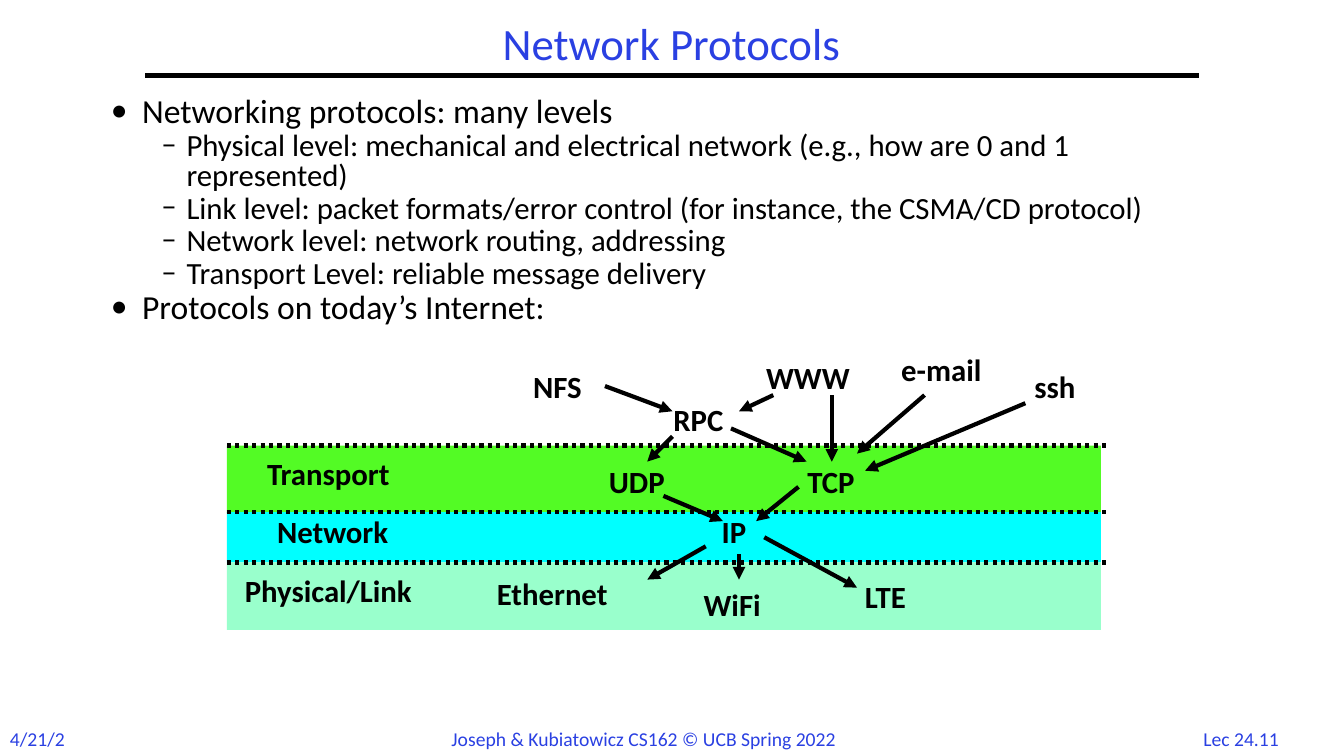
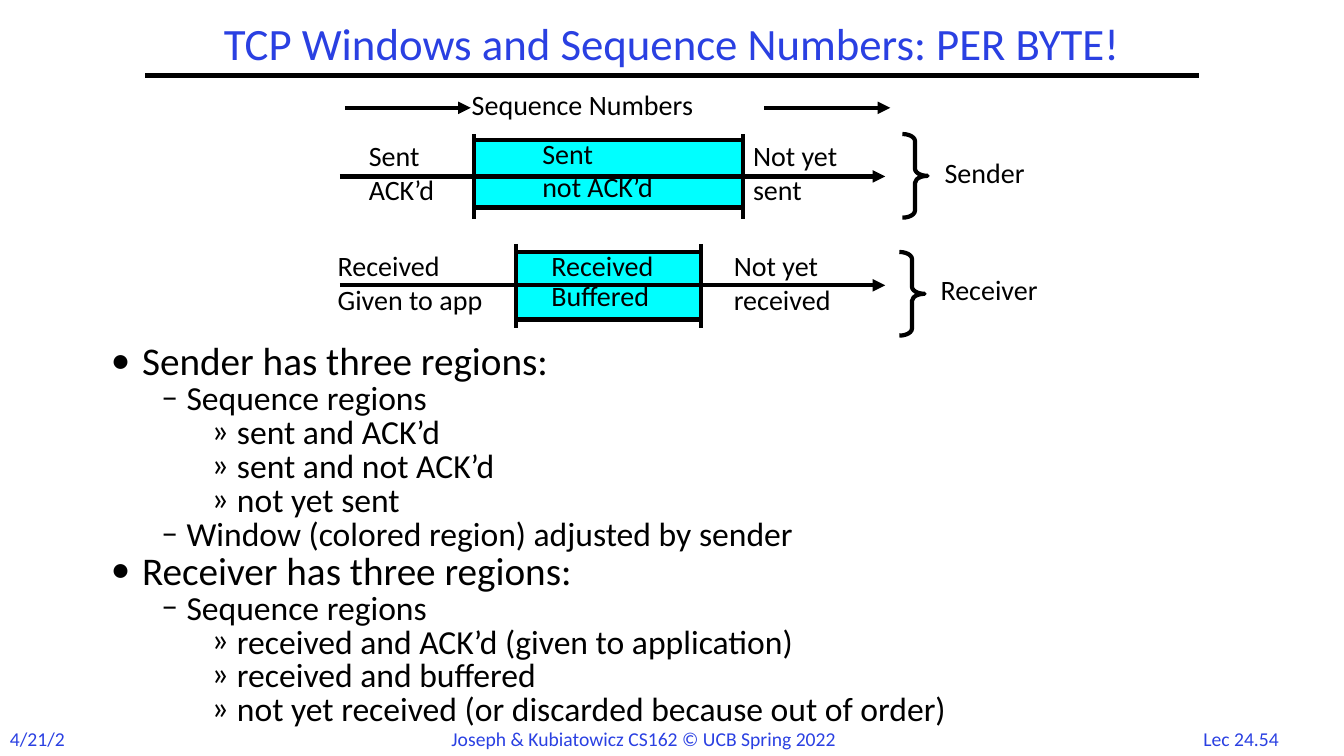
import dataclasses

import lxml.etree
import pptx
import pptx.dml.color
import pptx.enum.dml
import pptx.enum.shapes
import pptx.enum.text
import pptx.oxml.ns
import pptx.util

SHAPE = pptx.enum.shapes.MSO_SHAPE
ALIGN = pptx.enum.text.PP_ALIGN
FIT = pptx.enum.text.MSO_AUTO_SIZE
ANCHOR = pptx.enum.text.MSO_ANCHOR
DOTS = pptx.enum.dml.MSO_LINE.ROUND_DOT


@dataclasses.dataclass(frozen=True)
class Theme:
    font: str = "Calibri"
    ink: str = "000000"
    blue: str = "2A40E2"
    green: str = "53FB25"
    cyan: str = "00FFFF"
    mint: str = "99FFCC"
    title: int = 32
    foot: int = 14
    label: int = 22
    note: int = 20
    line: int = 3
    bullets: tuple = (("•", 0.31, 0.31), ("–", 0.75, 0.25), ("»", 1.25, 0.25))


THEME = Theme()
COLS, ROWS = 160, 90


def cell(count):
    return pptx.util.Inches(round(count / 12, 2))


def color(code):
    return pptx.dml.color.RGBColor.from_string(code)


@dataclasses.dataclass
class Grid:
    shapes: object
    col: float = 0
    row: float = 0

    def spot(self, col, row):
        return cell(self.col + col), cell(self.row + row)

    def line(self, start, end, head=False, dash=None):
        kind = pptx.enum.shapes.MSO_CONNECTOR.STRAIGHT
        line = self.shapes.add_connector(kind, *self.spot(*start), *self.spot(*end))
        line.line.color.rgb = color(THEME.ink)
        line.line.width = pptx.util.Pt(THEME.line)
        if dash:
            line.line.dash_style = dash
        props = line.element.spPr
        if head:
            node = props.find(pptx.oxml.ns.qn("a:ln"))
            lxml.etree.SubElement(node, pptx.oxml.ns.qn("a:tailEnd"), type="triangle")
        lxml.etree.SubElement(props, pptx.oxml.ns.qn("a:effectLst"))
        return line

    def shape(self, kind, col, row, width, height, fill=None, edge=False):
        shape = self.shapes.add_shape(kind, *self.spot(col, row), cell(width), cell(height))
        shape.shadow.inherit = False
        if fill:
            shape.fill.solid()
            shape.fill.fore_color.rgb = color(fill)
        else:
            shape.fill.background()
        if edge:
            shape.line.color.rgb = color(THEME.ink)
            shape.line.width = pptx.util.Pt(THEME.line)
        else:
            shape.line.fill.background()
        return shape

    def text(self, lines, col, row, width, height, size, shade=THEME.ink,
             bold=False, gaps=(1, 1), align=ALIGN.LEFT):
        box = self.shapes.add_textbox(*self.spot(col, row), cell(width), cell(height))
        frame = box.text_frame
        frame.word_wrap = False
        frame.auto_size = FIT.SHAPE_TO_FIT_TEXT
        for place, (line, gap) in enumerate(zip(lines, gaps)):
            para = frame.add_paragraph() if place else frame.paragraphs[0]
            para.alignment = align
            para.line_spacing = gap
            add_run(para, line, size, shade, bold)
        return box


def add_run(para, text, size, shade=THEME.ink, bold=False):
    run = para.add_run()
    run.text = text
    run.font.name = THEME.font
    run.font.size = pptx.util.Pt(size)
    run.font.color.rgb = color(shade)
    run.font.bold = bold


def place(shape, col, row, width, height):
    shape.left, shape.top = cell(col), cell(row)
    shape.width, shape.height = cell(width), cell(height)
    shape.text_frame.auto_size = FIT.NONE


def set_frame(slide, layout):
    grid = Grid(slide.shapes)
    parts = [
        grid.line((17.3, 9), (142.7, 9)),
        grid.text(["4/21/22"], 0, 85.9, 9.6, 4.1, THEME.foot, THEME.blue),
        grid.text(["Joseph & Kubiatowicz CS162 © UCB Spring 2022"],
                  52.6, 85.9, 49.6, 4.1, THEME.foot, THEME.blue),
    ]
    for part in parts:
        layout.shapes.element.append(part.element)


def set_head(slide, text, col, width, page):
    title = slide.shapes.title
    place(title, col, 2, width, 7)
    title.text_frame.vertical_anchor = ANCHOR.MIDDLE
    para = title.text_frame.paragraphs[0]
    para.alignment = ALIGN.CENTER
    para.line_spacing = 0.9
    add_run(para, text, THEME.title, THEME.blue)
    Grid(slide.shapes).text([page], 141.2, 85.9, 13, 4, THEME.foot, THEME.blue,
                            align=ALIGN.CENTER)


def set_list(slide, box, items, sizes, space):
    body = slide.placeholders[1]
    place(body, *box)
    frame = body.text_frame
    frame.vertical_anchor = ANCHOR.TOP
    for index, (level, text) in enumerate(items):
        para = frame.add_paragraph() if index else frame.paragraphs[0]
        para.level = level
        mark, left, hang = THEME.bullets[level]
        props = para._p.get_or_add_pPr()
        props.set("marL", str(pptx.util.Inches(left)))
        props.set("indent", str(-pptx.util.Inches(hang)))
        lxml.etree.SubElement(props, pptx.oxml.ns.qn("a:buFont"), typeface=THEME.font)
        lxml.etree.SubElement(props, pptx.oxml.ns.qn("a:buChar"), char=mark)
        para.alignment = ALIGN.LEFT
        para.line_spacing = 0.8
        para.space_before = pptx.util.Pt(sizes[level] * space if index else 0)
        add_run(para, text, sizes[level])


def draw_stack(slide, col, row):
    grid = Grid(slide.shapes.add_group_shape().shapes, col, row)
    bands = ((11, 8, THEME.green), (19, 6, THEME.cyan), (25, 8, THEME.mint))
    for top, height, fill in bands:
        grid.shape(SHAPE.RECTANGLE, 0, top, 104, height, fill)
    for top, _, _ in bands:
        grid.line((0, top), (105, top), dash=DOTS)
    labels = (
        ("NFS", 35.3, 2, 9.8), ("WWW", 63, 1, 12.8),
        ("e-mail", 79.1, 0, 13.1), ("ssh", 94.9, 2, 8.8),
        ("RPC", 52, 6, 10.2), ("UDP", 44.3, 13.3, 10.2),
        ("TCP", 67.9, 13.3, 9.8), ("IP", 57.7, 19.3, 5.9),
        ("Ethernet", 31, 26.6, 17.4), ("WiFi", 55.6, 28, 10.2),
        ("LTE", 74.8, 27, 9.1), ("Transport", 3.6, 12.4, 19.4),
        ("Network", 4.8, 19.3, 17), ("Physical/Link", 1, 26.3, 26.2),
    )
    for text, left, top, width in labels:
        grid.text([text], left, top, width, 4.7, THEME.label, bold=True, gaps=(0.8,))
    arrows = (
        ((45, 4), (53, 7)), ((65, 5), (61, 7)), ((72, 5), (72, 13)),
        ((83, 5), (75, 12)), ((95, 6), (76, 14)), ((53, 10), (50, 13)),
        ((60, 9), (69, 13)), ((52, 17), (59, 20)), ((68, 16), (63, 20)),
        ((57, 23), (50, 27)), ((61, 24), (61, 27)), ((64, 22), (75, 28)),
    )
    for start, end in arrows:
        grid.line(start, end, head=True)


def draw_key(slide, col, row):
    grid = Grid(slide.shapes.add_group_shape().shapes, col, row)
    grid.text(["Sequence Numbers"], 14, 0, 32.2, 5.2, THEME.note)
    for left in (0, 50):
        grid.line((left, 3), (left + 15, 3), head=True)


def draw_lane(slide, col, row, span, top, notes, gaps, brace, name):
    grid = Grid(slide.shapes.add_group_shape().shapes, col, row)
    left, right = span
    grid.shape(SHAPE.RECTANGLE, left, top, right - left, 8, THEME.cyan, edge=True)
    grid.line((1.4, 5), (66.4, 5), head=True)
    for stem in span:
        grid.line((stem, 0), (stem, 10))
    for index, (lines, start, width) in enumerate(notes):
        inner = index == 1
        grid.text(lines, start, 0.4 if inner else 0, width, 8.4 if inner else 9.2,
                  THEME.note, gaps=gaps if inner else (1, 1))
    start, drop = brace
    curl = grid.shape(SHAPE.RIGHT_BRACE, start, drop, 3, 10, edge=True)
    curl.adjustments[0], curl.adjustments[1] = 0.28, 0.5
    grid.text([name], start + 3.8, drop + 1.85, 15, 5.2, THEME.note)


def make_stack(slide):
    set_head(slide, "Network Protocols", 17.3, 125.3, "Lec 24.11")
    set_list(slide, (12, 11, 136, 70), (
        (0, "Networking protocols: many levels"),
        (1, "Physical level: mechanical and electrical network "
            "(e.g., how are 0 and 1 represented)"),
        (1, "Link level: packet formats/error control "
            "(for instance, the CSMA/CD protocol)"),
        (1, "Network level: network routing, addressing"),
        (1, "Transport Level: reliable message delivery"),
        (0, "Protocols on today’s Internet:"),
    ), (24, 22), 0.1)
    draw_stack(slide, 27, 42)


def make_lanes(slide):
    set_head(slide, "TCP Windows and Sequence Numbers: PER BYTE!", 12, 136, "Lec 24.54")
    set_list(slide, (12, 40.5, 146.2, 42), (
        (0, "Sender has three regions:"),
        (1, "Sequence regions"),
        (2, "sent and ACK’d"),
        (2, "sent and not ACK’d"),
        (2, "not yet sent"),
        (1, "Window (colored region) adjusted by sender"),
        (0, "Receiver has three regions:"),
        (1, "Sequence regions"),
        (2, "received and ACK’d (given to application)"),
        (2, "received and buffered"),
        (2, "not yet received (or discarded because out of order)"),
    ), (28, 24, 24), 0.05)
    draw_key(slide, 41, 9.8)
    draw_lane(slide, 39, 16, (17.4, 49.4), 0.7, (
        (("Sent", "ACK’d"), 3.7, 12),
        (("Sent", "not ACK’d"), 24.4, 17.4),
        (("Not yet", "sent"), 49.4, 13.1),
    ), (0.8, 1), (68.4, 0), "Sender")
    draw_lane(slide, 39, 29, (22.4, 44.4), 1, (
        (("Received", "Given to app"), 0, 21.5),
        (("Received", "Buffered"), 25.4, 16.4),
        (("Not yet", "received"), 47.2, 15.1),
    ), (0.9, 0.9), (68, 1), "Receiver")


def main():
    deck = pptx.Presentation()
    deck.slide_width, deck.slide_height = cell(COLS), cell(ROWS)
    layout = deck.slide_layouts[1]
    for index, make in enumerate((make_stack, make_lanes)):
        slide = deck.slides.add_slide(layout)
        if not index:
            set_frame(slide, layout)
        make(slide)
    deck.save("out.pptx")


if __name__ == "__main__":
    main()
